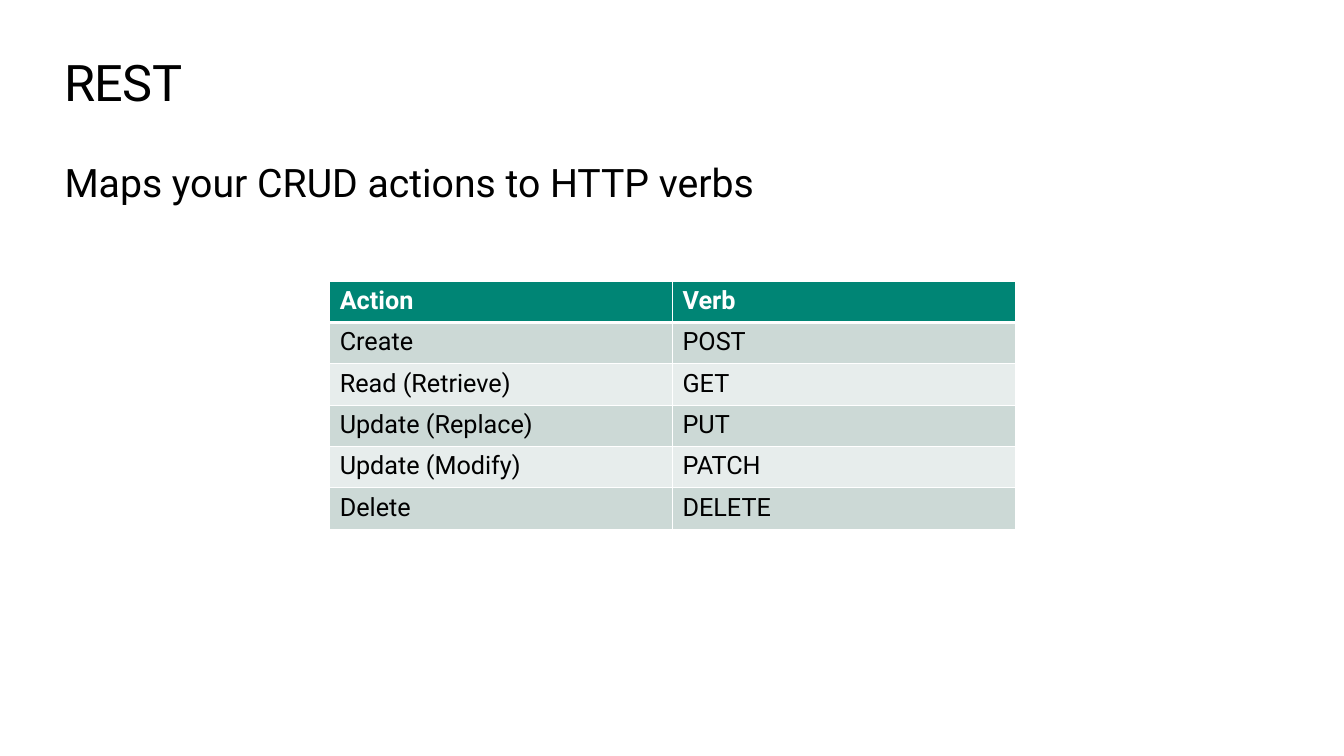
from lxml import etree
from pptx import Presentation
from pptx.dml.color import RGBColor
from pptx.enum.text import MSO_ANCHOR
from pptx.oxml.ns import qn
from pptx.util import Inches, Pt

MIDDLE = MSO_ANCHOR.MIDDLE
TOP = MSO_ANCHOR.TOP
FONT = "Roboto"
BLACK, WHITE, TEAL = "000000", "FFFFFF", "008575"
BANDS = ("CCD9D6", "E7EDEC")
ROWS = [
    ("Action", "Verb"),
    ("Create", "POST"),
    ("Read (Retrieve)", "GET"),
    ("Update (Replace)", "PUT"),
    ("Update (Modify)", "PATCH"),
    ("Delete", "DELETE"),
]


def color(value):
    """Turn a hex string into a colour."""
    return RGBColor.from_string(value)


def style_font(paragraph, size, value, bold=False):
    """Set the font of a paragraph."""
    font = paragraph.font
    font.name, font.size, font.bold = FONT, Pt(size), bold
    font.color.rgb = color(value)


def add_text(page, text, top, height, size, anchor=TOP, spacing=0):
    """Add a line of text at the left margin, with letter spacing in points."""
    box = page.shapes.add_textbox(Inches(0.64), Inches(top), Inches(12.05), Inches(height))
    frame = box.text_frame
    frame.word_wrap = True
    frame.vertical_anchor = anchor
    frame.margin_left = frame.margin_top = frame.margin_right = frame.margin_bottom = 0
    para = frame.paragraphs[0]
    span = para.add_run()
    span.text = text
    style_font(para, size, BLACK)
    if spacing:
        span.font._element.set("spc", str(round(spacing * 100)))


def set_borders(cell, widths):
    """Draw white borders, with widths in points for left, right, top and bottom."""
    properties = cell._tc.get_or_add_tcPr()
    for index, (side, width) in enumerate(zip("LRTB", widths)):
        line = etree.Element(qn(f"a:ln{side}"), w=str(Pt(width)))
        fill = etree.SubElement(line, qn("a:solidFill"))
        etree.SubElement(fill, qn("a:srgbClr"), val=WHITE)
        properties.insert(index, line)


def add_verb_table(page):
    """Add the table of actions and verbs."""
    frame = page.shapes.add_table(
        len(ROWS), 2, Inches(3.27), Inches(2.79), Inches(6.8), Inches(0.41 * len(ROWS))
    )
    for row, texts in enumerate(ROWS):
        header = row == 0
        for column, text in enumerate(texts):
            cell = frame.table.cell(row, column)
            cell.text = text
            style_font(cell.text_frame.paragraphs[0], 18, WHITE if header else BLACK, header)
            cell.fill.solid()
            cell.fill.fore_color.rgb = color(TEAL if header else BANDS[(row - 1) % 2])
            set_borders(cell, (1, 1, 3 if row == 1 else 1, 3 if header else 1))


def main():
    """Build the slide and save it."""
    deck = Presentation()
    deck.slide_width, deck.slide_height = Inches(13.33), Inches(7.5)
    page = deck.slides.add_slide(deck.slide_layouts[6])
    add_text(page, "REST", 0.5, 0.61, 36, MIDDLE, -0.5)
    add_text(page, "Maps your CRUD actions to HTTP verbs", 1.57, 2.52, 28)
    add_verb_table(page)
    deck.save("out.pptx")


if __name__ == "__main__":
    main()
